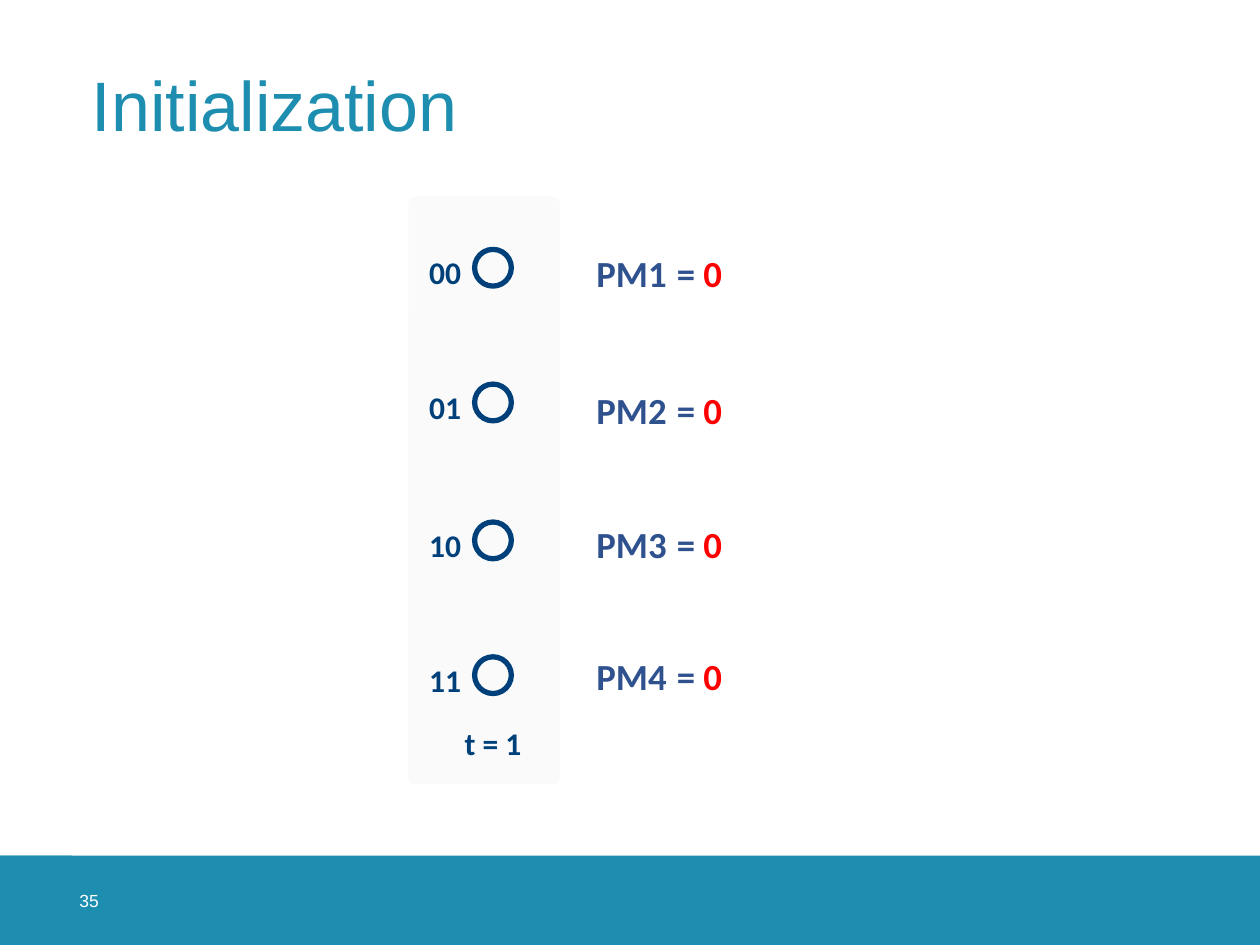
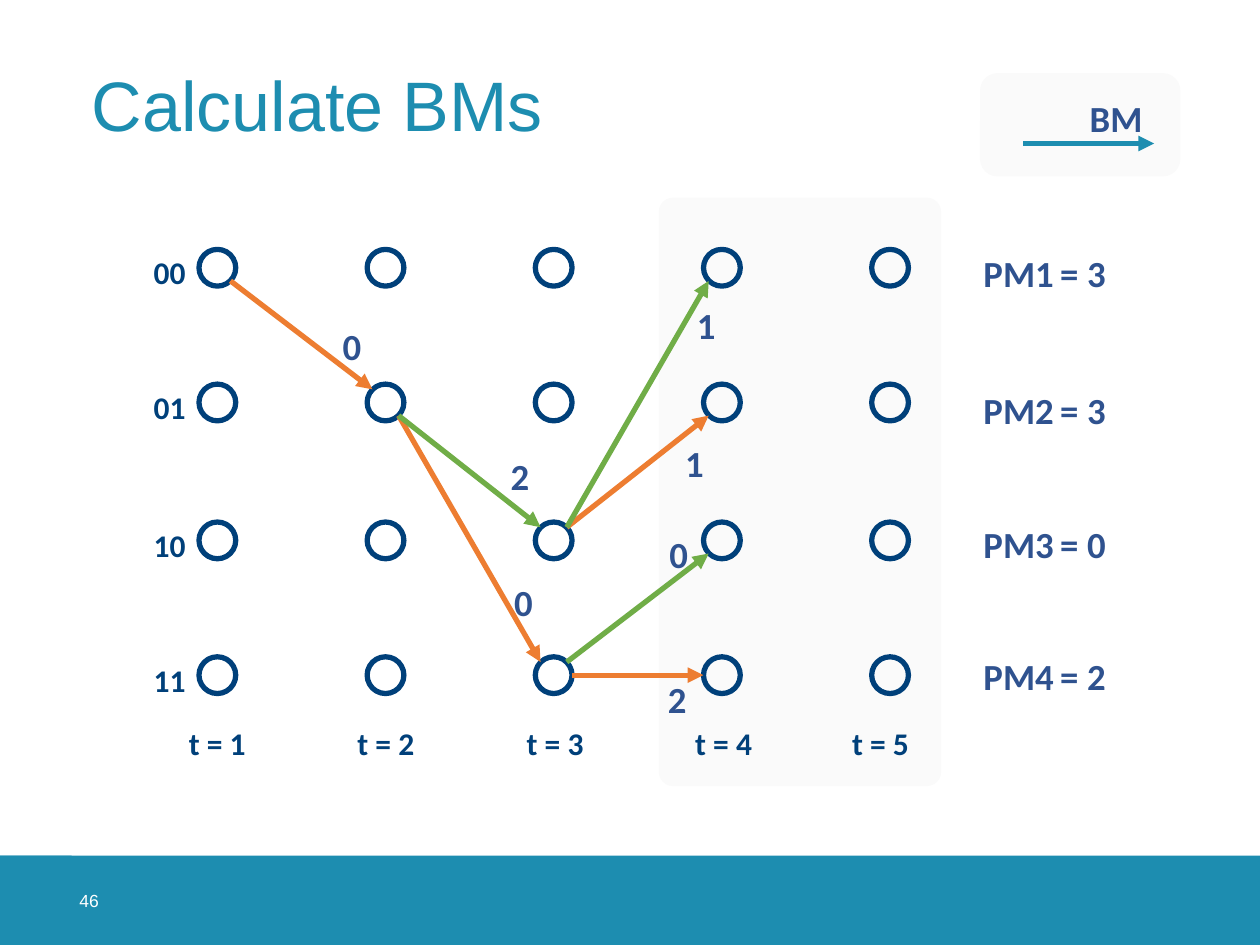
from lxml import etree
from pptx import Presentation
from pptx.dml.color import RGBColor
from pptx.enum import shapes as sh, text as tx
from pptx.oxml.ns import qn
from pptx.util import Pt

TEAL = RGBColor(0x1D, 0x8D, 0xB0)
NAVY = RGBColor(0x00, 0x40, 0x7A)
BLUE = RGBColor(0x2F, 0x52, 0x8F)
GREY = RGBColor(0xFA, 0xFA, 0xFA)
RED = RGBColor(0xFF, 0x00, 0x00)
ORANGE = RGBColor(0xED, 0x7D, 0x31)
GREEN = RGBColor(0x70, 0xAD, 0x47)
WHITE = RGBColor(0xFF, 0xFF, 0xFF)

LEFT, MID, RIGHT = tx.PP_ALIGN.LEFT, tx.PP_ALIGN.CENTER, tx.PP_ALIGN.RIGHT
RECT, ROUND, OVAL = (sh.MSO_SHAPE.RECTANGLE, sh.MSO_SHAPE.ROUNDED_RECTANGLE,
                     sh.MSO_SHAPE.OVAL)

STATES = ("00", "01", "10", "11")
ROWS = (153, 230, 308.8, 385.8)
PM_TOPS = (144, 222.5, 298.6, 374.4)
RADIUS = 10.5
DIAG = 7.5
START_X = 281.7
FIRST_X, STEP = 124.2, 96.1
TIME_SHIFT = (0, 0.2, 0.8, 1, -5.5)
EDGES = (
    (0, 0, 1, ORANGE, "0", 189.2, 185.8),
    (1, 1, 3, ORANGE, "0", 287.3, 331.9),
    (1, 1, 2, GREEN, "2", 285.3, 259.9),
    (2, 2, 1, ORANGE, "1", 385, 252.7),
    (2, 2, 0, GREEN, "1", 391.7, 173.5),
    (2, 3, 2, GREEN, "0", 376, 304.6),
    (2, 3, 3, ORANGE, "2", 375.1, 387.4),
)


def write(item, text, size=21, color=BLUE, font="Calibri", bold=True,
          align=MID, pad=(0, 0), space=None):
    """Put one line of formatted text in a shape, centred in height."""
    frame = item.text_frame
    frame.word_wrap = True
    frame.vertical_anchor = tx.MSO_ANCHOR.MIDDLE
    frame.margin_left = frame.margin_right = Pt(pad[0])
    frame.margin_top = frame.margin_bottom = Pt(pad[1])
    para = frame.paragraphs[0]
    para.alignment = align
    para.line_spacing = space
    run = para.add_run()
    run.text = text
    run.font.name, run.font.size, run.font.bold = font, Pt(size), bold
    run.font.color.rgb = color


def block(shapes, kind, x, y, w, h, fill=None, curve=None):
    """Draw a shape without an outline, filled if a colour is given."""
    item = shapes.add_shape(kind, Pt(x), Pt(y), Pt(w), Pt(h))
    item.shadow.inherit = False
    item.line.fill.background()
    if fill is None:
        item.fill.background()
    else:
        item.fill.solid()
        item.fill.fore_color.rgb = fill
    if curve:
        item.adjustments[0] = curve
    return item


def label(shapes, text, x, y, w, h, **style):
    """Write a label in a clear rounded shape."""
    write(block(shapes, ROUND, x, y, w, h, curve=0.07), text, **style)


def plain(shapes, text, x, y, w, h, **style):
    """Write slide furniture in a text box."""
    box = shapes.add_textbox(Pt(x), Pt(y), Pt(w), Pt(h))
    write(box, text, font="Arial", bold=False, align=LEFT, **style)


def node(shapes, x, y):
    """Draw a state circle around its centre."""
    ring = shapes.add_shape(OVAL, Pt(x - RADIUS), Pt(y - RADIUS),
                            Pt(2 * RADIUS), Pt(2 * RADIUS))
    ring.shadow.inherit = False
    ring.fill.background()
    ring.line.color.rgb = NAVY
    ring.line.width = Pt(3)


def arrow(shapes, x1, y1, x2, y2, color):
    """Draw a straight arrow."""
    line = shapes.add_connector(sh.MSO_CONNECTOR.STRAIGHT,
                                Pt(x1), Pt(y1), Pt(x2), Pt(y2))
    line.line.color.rgb = color
    line.line.width = Pt(3)
    etree.SubElement(line.line._get_or_add_ln(), qn("a:tailEnd"), type="triangle")
    etree.SubElement(line._element.spPr, qn("a:effectLst"))


def column(shapes, x, time):
    """Draw the four states of one time step and its label."""
    for y in ROWS:
        node(shapes, x, y)
    label(shapes, f"t = {time + 1}", x - 19.8 + TIME_SHIFT[time], 410, 39.6, 28.8,
          size=18, color=NAVY)


def states(shapes, x):
    """Name the states left of the first column."""
    for name, y in zip(STATES, ROWS):
        label(shapes, name, x - 57.2, y - 11.9, 39.6, 28.8,
              size=18, color=NAVY, align=RIGHT)


def metrics(shapes, lefts, values, color):
    """List the path metrics, one per state."""
    for num, (y, value) in enumerate(zip(PM_TOPS, values), 1):
        for x, text, tint in zip(lefts, (f"PM{num}", "=", value), (BLUE, BLUE, color)):
            label(shapes, text, x, y, 74.2, 23.8, color=tint)


def edge(shapes, time, start, end, color, weight, x, y):
    """Join two states in neighbouring columns and give the branch metric."""
    turn = (end > start) - (end < start)
    dx, dy = (DIAG, turn * DIAG) if turn else (RADIUS, 0)
    left = FIRST_X + time * STEP
    arrow(shapes, left + dx, ROWS[start] + dy, left + STEP - dx, ROWS[end] - dy, color)
    label(shapes, weight, x, y, 23.8, 23.8)


def legend(shapes):
    """Draw the key for branch metrics as a group."""
    group = shapes.add_group_shape().shapes
    block(group, ROUND, 560, 41.8, 114.5, 59, GREY, 0.17)
    arrow(group, 584.6, 82, 659.5, 82, TEAL)
    label(group, "BM", 619.4, 55, 36.7, 24.5)


def page(deck, title, number):
    """Add a slide with title, band and number, and return its shapes."""
    shapes = deck.slides.add_slide(deck.slide_layouts[6]).shapes
    block(shapes, RECT, 0, 488.9, 720, 51.1, TEAL)
    block(shapes, RECT, 0, 488.9, 41, 51.1, TEAL)
    plain(shapes, number, 45.4, 488.9, 51.1, 51.1, size=10, color=WHITE)
    plain(shapes, title, 45.4, 16.9, 629.3, 90.7, size=40, color=TEAL,
          pad=(7.2, 3.6), space=0.9)
    return shapes


def start_page(deck):
    """Show the first time step with all metrics at zero."""
    shapes = page(deck, "Initialization", "35")
    block(shapes, ROUND, 233.3, 112.3, 86.6, 335.9, GREY, 0.05)
    states(shapes, START_X)
    column(shapes, START_X, 0)
    metrics(shapes, (323.8, 355, 370.2), "0000", RED)


def branch_page(deck):
    """Show the trellis with its branch metrics."""
    shapes = page(deck, "Calculate BMs", "46")
    block(shapes, ROUND, 376.5, 113, 161.3, 336.2, GREY, 0.05)
    states(shapes, FIRST_X)
    for time in range(5):
        column(shapes, FIRST_X + time * STEP, time)
    for item in EDGES:
        edge(shapes, *item)
    legend(shapes)
    metrics(shapes, (545, 574, 589.5), "3302", BLUE)


def main():
    """Build and save the deck."""
    deck = Presentation()
    deck.slide_width, deck.slide_height = Pt(720), Pt(540)
    start_page(deck)
    branch_page(deck)
    deck.save("out.pptx")


if __name__ == "__main__":
    main()
